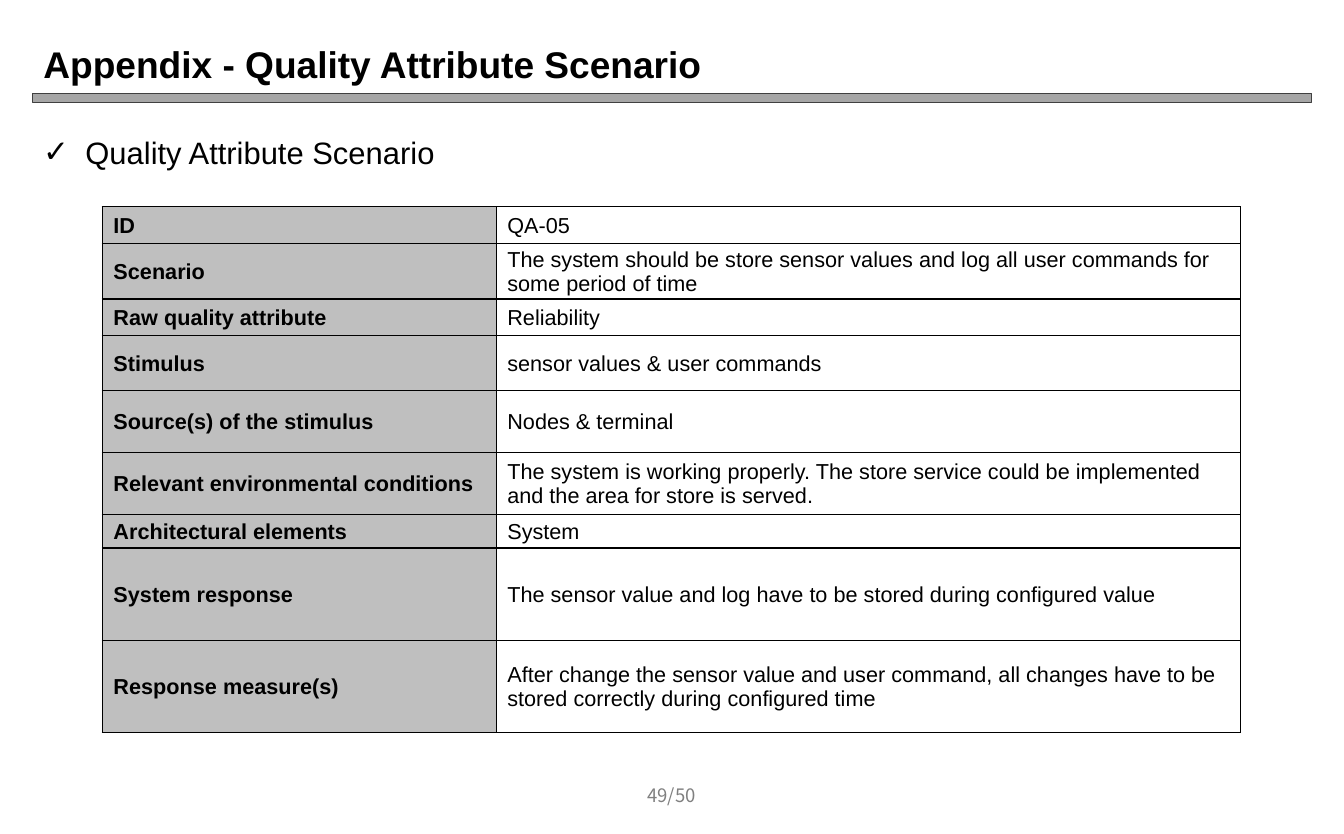
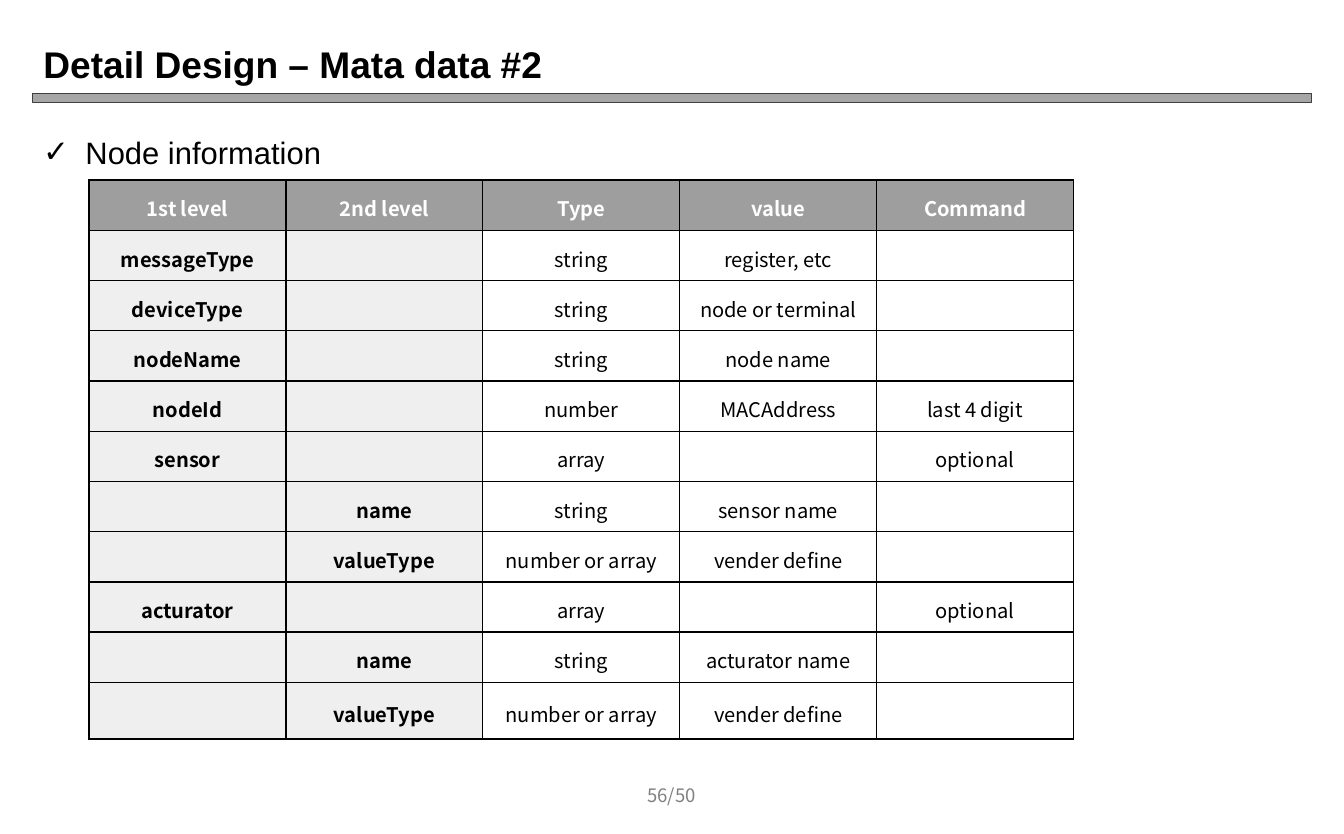
from dataclasses import dataclass

from lxml.etree import SubElement
from pptx import Presentation
from pptx.dml.color import RGBColor
from pptx.enum.shapes import MSO_SHAPE
from pptx.enum.text import MSO_ANCHOR, PP_ALIGN
from pptx.oxml.ns import qn
from pptx.slide import Slide
from pptx.table import _Cell
from pptx.text.text import TextFrame
from pptx.util import Emu, Pt

EMU_PER_PX = 9144
LATIN = "Arial"
SANS = "Noto Sans CJK KR"
BLACK = "000000"
WHITE = "FFFFFF"
BAND_GREY = "A6A6A6"
BAND_EDGE = "404040"
PAGE_GREY = "808080"
LABEL_GREY = "BFBFBF"
HEADER_GREY = "9E9E9E"
LEVEL_GREY = "EFEFEF"


@dataclass(frozen=True)
class Box:
    left: int
    top: int
    width: int
    height: int

    def emu(self) -> tuple[Emu, Emu, Emu, Emu]:
        return px(self.left), px(self.top), px(self.width), px(self.height)


@dataclass(frozen=True)
class TextStyle:
    size: int
    font: str
    color: str = BLACK
    bold: bool = False
    align: PP_ALIGN = PP_ALIGN.LEFT
    line_spacing: float | None = None


@dataclass(frozen=True)
class CellStyle:
    text: TextStyle
    fill: str


@dataclass(frozen=True)
class Grid:
    left: int
    top: int
    columns: list[int]
    row_heights: list[int]
    rows: list[tuple[str, ...]]
    column_styles: list[CellStyle]
    margin_top: int
    margin_bottom: int
    header_style: CellStyle | None = None


@dataclass(frozen=True)
class Page:
    title: str
    topic: str
    number: str
    grid: Grid


TITLE_BOX = Box(29, 30, 1150, 54)
TITLE_PANEL = Box(29, 29, 1158, 55)
BAND_BOX = Box(29, 84, 1150, 8)
TOPIC_BOX = Box(29, 115, 1150, 567)
NUMBER_BOX = Box(549, 695, 109, 40)

TITLE_STYLE = TextStyle(24, LATIN, bold=True)
TOPIC_STYLE = TextStyle(20, LATIN)
NUMBER_STYLE = TextStyle(12, SANS, PAGE_GREY, align=PP_ALIGN.CENTER)

LABEL = CellStyle(TextStyle(14, LATIN, bold=True), LABEL_GREY)
DETAIL = CellStyle(TextStyle(14, LATIN), WHITE)
HEADER = CellStyle(TextStyle(13, SANS, WHITE, True, PP_ALIGN.CENTER, 1.2), HEADER_GREY)
LEVEL = CellStyle(TextStyle(13, SANS, BLACK, True, PP_ALIGN.CENTER, 1.2), LEVEL_GREY)
FIELD = CellStyle(TextStyle(13, SANS, BLACK, False, PP_ALIGN.CENTER, 1.2), WHITE)

SCENARIO = Grid(
    left=92,
    top=186,
    columns=[354, 669],
    row_heights=[33, 50, 33, 49, 56, 56, 30, 83, 83],
    rows=[
        ("ID", "QA-05"),
        ("Scenario", "The system should be store sensor values and log all user "
                     "commands for some period of time"),
        ("Raw quality attribute", "Reliability"),
        ("Stimulus", "sensor values & user commands"),
        ("Source(s) of the stimulus", "Nodes & terminal"),
        ("Relevant environmental conditions",
         "The system is working properly. The store service could be implemented "
         "and the area for store is served."),
        ("Architectural elements", "System"),
        ("System response",
         "The sensor value and log have to be stored during configured value"),
        ("Response measure(s)",
         "After change the sensor value and user command, all changes have to be "
         "stored correctly during configured time"),
    ],
    column_styles=[LABEL, DETAIL],
    margin_top=1,
    margin_bottom=0,
)

NODE_FIELDS = Grid(
    left=80,
    top=162,
    columns=[177] * 5,
    row_heights=[45] * 10 + [51],
    rows=[
        ("1st level", "2nd level", "Type", "value", "Command"),
        ("messageType", "", "string", "register, etc", ""),
        ("deviceType", "", "string", "node or terminal", ""),
        ("nodeName", "", "string", "node name", ""),
        ("nodeId", "", "number", "MACAddress", "last 4 digit"),
        ("sensor", "", "array", "", "optional"),
        ("", "name", "string", "sensor name", ""),
        ("", "valueType", "number or array", "vender define", ""),
        ("acturator", "", "array", "", "optional"),
        ("", "name", "string", "acturator name", ""),
        ("", "valueType", "number or array", "vender define", ""),
    ],
    column_styles=[LEVEL] * 2 + [FIELD] * 3,
    margin_top=7,
    margin_bottom=7,
    header_style=HEADER,
)

PAGES = [
    Page("Appendix - Quality Attribute Scenario", "Quality Attribute Scenario",
         "49/50", SCENARIO),
    Page("Detail Design – Mata data #2", "Node information", "56/50", NODE_FIELDS),
]


def px(length: int) -> Emu:
    return Emu(length * EMU_PER_PX)


def rgb(color: str) -> RGBColor:
    return RGBColor.from_string(color)


def write(frame: TextFrame, text: str, style: TextStyle) -> None:
    frame.text = text
    paragraph = frame.paragraphs[0]
    paragraph.alignment = style.align
    if style.line_spacing:
        paragraph.line_spacing = style.line_spacing
    for run in paragraph.runs:
        run.font.size = Pt(style.size)
        run.font.name = style.font
        run.font.bold = style.bold
        run.font.color.rgb = rgb(style.color)


def add_panel(slide: Slide, box: Box, fill: str, edge: str | None = None) -> None:
    panel = slide.shapes.add_shape(MSO_SHAPE.FLOWCHART_PROCESS, *box.emu())
    panel.shadow.inherit = False
    panel.fill.solid()
    panel.fill.fore_color.rgb = rgb(fill)
    if edge:
        panel.line.color.rgb = rgb(edge)
        panel.line.width = Pt(0.75)
    else:
        panel.line.fill.background()


def add_text(slide: Slide, box: Box, text: str, style: TextStyle,
             anchor: MSO_ANCHOR) -> TextFrame:
    frame = slide.shapes.add_textbox(*box.emu()).text_frame
    frame.word_wrap = True
    frame.vertical_anchor = anchor
    write(frame, text, style)
    return frame


def add_topic(slide: Slide, topic: str) -> None:
    frame = add_text(slide, TOPIC_BOX, topic, TOPIC_STYLE, MSO_ANCHOR.TOP)
    paragraph = frame.paragraphs[0]
    paragraph.space_before = Pt(4)
    properties = paragraph._p.get_or_add_pPr()
    properties.set("marL", str(px(38)))
    properties.set("indent", str(px(-38)))
    SubElement(properties, qn("a:buFont"), typeface=LATIN)
    SubElement(properties, qn("a:buChar"), char="✓")


def place_title(slide: Slide, text: str) -> None:
    title = slide.shapes.title
    title.left, title.top, title.width, title.height = TITLE_BOX.emu()
    title.text_frame.word_wrap = True
    title.text_frame.vertical_anchor = MSO_ANCHOR.MIDDLE
    write(title.text_frame, text, TITLE_STYLE)
    slide.shapes.element.append(title.element)


def outline(cell: _Cell) -> None:
    properties = cell._tc.get_or_add_tcPr()
    for side in ("lnL", "lnR", "lnT", "lnB"):
        border = SubElement(properties, qn(f"a:{side}"), w=str(Pt(1)))
        fill = SubElement(border, qn("a:solidFill"))
        SubElement(fill, qn("a:srgbClr"), val=BLACK)


def fill_cell(cell: _Cell, text: str, style: CellStyle, grid: Grid) -> None:
    outline(cell)
    cell.fill.solid()
    cell.fill.fore_color.rgb = rgb(style.fill)
    cell.vertical_anchor = MSO_ANCHOR.MIDDLE
    cell.margin_left = cell.margin_right = px(10)
    cell.margin_top = px(grid.margin_top)
    cell.margin_bottom = px(grid.margin_bottom)
    if text:
        write(cell.text_frame, text, style.text)


def add_grid(slide: Slide, grid: Grid) -> None:
    box = Box(grid.left, grid.top, sum(grid.columns), sum(grid.row_heights))
    table = slide.shapes.add_table(
        len(grid.rows), len(grid.columns), *box.emu()).table
    table.first_row = False
    table.horz_banding = False
    for column, width in zip(table.columns, grid.columns):
        column.width = px(width)
    for row, height in zip(table.rows, grid.row_heights):
        row.height = px(height)
    for row_index, texts in enumerate(grid.rows):
        for column_index, text in enumerate(texts):
            style = grid.column_styles[column_index]
            if row_index == 0 and grid.header_style:
                style = grid.header_style
            fill_cell(table.cell(row_index, column_index), text, style, grid)


def main() -> None:
    deck = Presentation()
    deck.slide_width, deck.slide_height = px(1208), px(750)
    title_only = deck.slide_layouts[5]
    for page in PAGES:
        slide = deck.slides.add_slide(title_only)
        add_panel(slide, BAND_BOX, BAND_GREY, BAND_EDGE)
        add_panel(slide, TITLE_PANEL, WHITE)
        add_topic(slide, page.topic)
        add_text(slide, NUMBER_BOX, page.number, NUMBER_STYLE, MSO_ANCHOR.MIDDLE)
        place_title(slide, page.title)
        add_grid(slide, page.grid)
    deck.save("out.pptx")


if __name__ == "__main__":
    main()
